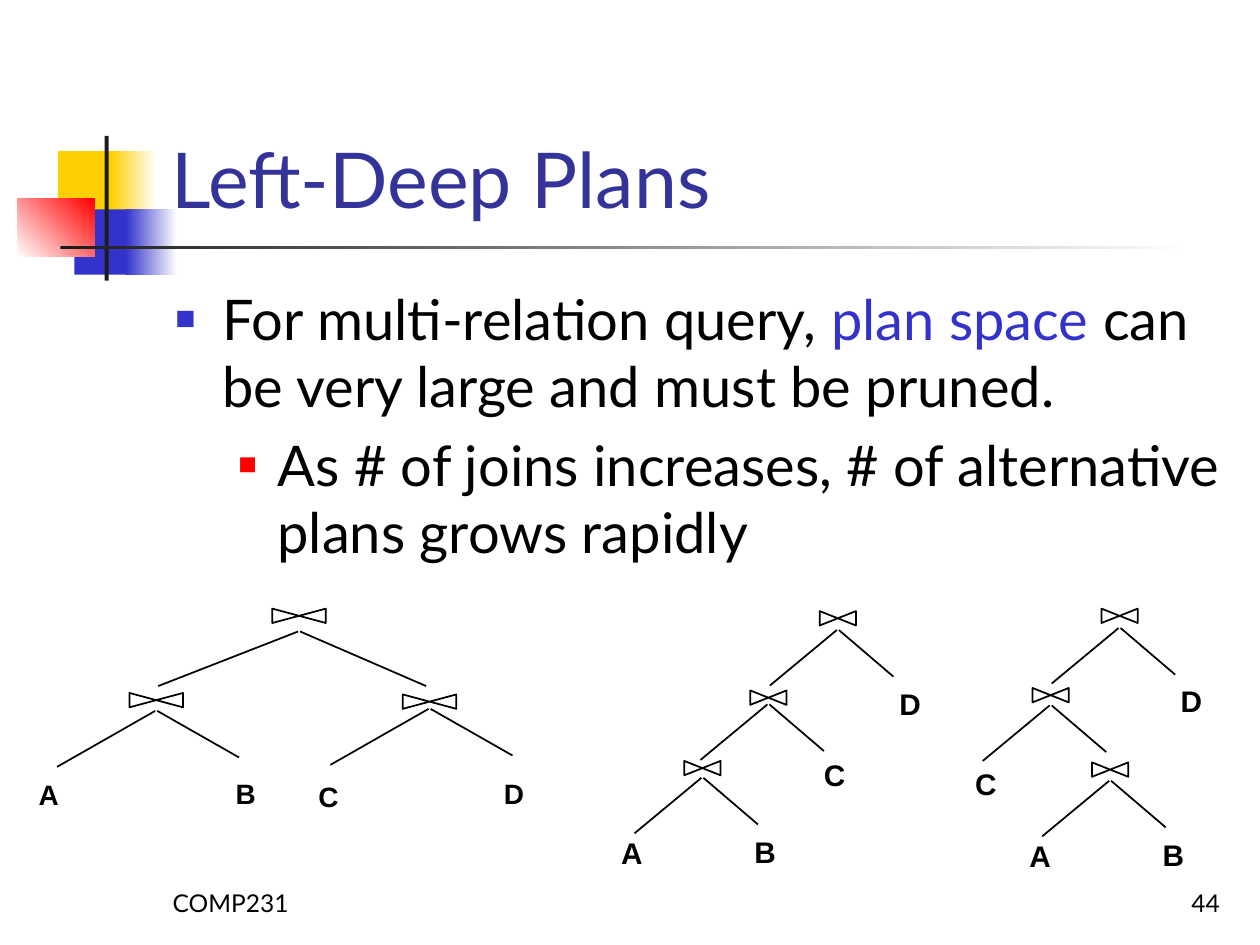
"""Build the "Left-Deep Plans" slide with its three join trees."""
from dataclasses import dataclass

from lxml.etree import SubElement
from pptx import Presentation
from pptx.dml.color import RGBColor
from pptx.enum.shapes import MSO_CONNECTOR, MSO_SHAPE
from pptx.enum.text import MSO_ANCHOR, MSO_AUTO_SIZE, PP_ALIGN
from pptx.oxml.ns import qn
from pptx.util import Cm, Pt

BLACK, BLUE, RED = "000000", "3333CC", "FF0000"
YELLOW, CHARCOAL, WHITE, NAVY = "FFCF01", "1C1C1C", "FFFFFF", "333399"
JOIN_HEIGHT = 0.29
APEX_GAP = 0.02


@dataclass
class Band:
    left: float
    top: float
    width: float
    height: float
    colors: tuple
    angle: float = 0


@dataclass
class Spread:
    left: float
    left_drop: float
    right: float
    right_drop: float


@dataclass
class Join:
    center: float
    top: float
    apex: float
    spread: Spread


@dataclass
class Leaf:
    name: str
    left: float
    top: float


@dataclass
class Tree:
    join_width: float
    font_size: int
    leaf_size: float
    joins: list
    leaves: list


BANDS = [
    Band(1.17, 3.05, 1.22, 1.32, (YELLOW,)),
    Band(2.24, 3.05, 0.91, 1.32, (YELLOW, WHITE)),
    Band(1.5, 4.22, 1.17, 1.32, (BLUE,)),
    Band(2.54, 4.22, 1.02, 1.32, (BLUE, WHITE)),
    Band(0.36, 4.01, 1.55, 1.17, (WHITE, RED), 45),
    Band(2.11, 2.74, 0.08, 2.92, (CHARCOAL,)),
    Band(1.22, 4.95, 22.86, 0.08, (CHARCOAL, WHITE)),
]
ROOT = Spread(2.82, 1.1, 2.54, 1.1)
WIDE = Spread(1.98, 1.13, 1.65, 0.94)
NARROW = Spread(1.35, 1.12, 1.1, 0.94)
TREES = [
    Tree(1.08, 16, 0.91,
         [Join(6.03, 12.27, 12.73, ROOT), Join(3.15, 13.97, 14.33, WIDE),
          Join(8.66, 14, 14.29, WIDE)],
         [Leaf("A", 0.53, 15.54), Leaf("B", 4.5, 15.52),
          Leaf("C", 6.17, 15.6), Leaf("D", 9.91, 15.52)]),
    Tree(0.73, 17, 0.96,
         [Join(16.89, 12.32, 12.7, NARROW), Join(15.49, 13.92, 14.2, NARROW),
          Join(14.16, 15.34, 15.68, NARROW)],
         [Leaf("A", 12.27, 16.71), Leaf("B", 14.96, 16.69),
          Leaf("C", 16.36, 15.14), Leaf("D", 17.88, 13.69)]),
    Tree(0.73, 17, 0.96,
         [Join(22.57, 12.27, 12.66, NARROW), Join(21.18, 13.87, 14.22, NARROW),
          Join(22.38, 15.37, 15.74, NARROW)],
         [Leaf("A", 20.5, 16.76), Leaf("B", 23.19, 16.74),
          Leaf("C", 19.41, 15.32), Leaf("D", 23.55, 13.64)]),
]


def color(value: str) -> RGBColor:
    return RGBColor.from_string(value)


def apply_format(target, values: dict) -> None:
    for name, value in values.items():
        setattr(target, name, value)


def place(shape, left: float, top: float, width: float, height: float) -> None:
    apply_format(shape, {"left": Cm(left), "top": Cm(top),
                         "width": Cm(width), "height": Cm(height)})


def add_run(paragraph, text: str, size: int, fill: str = BLACK,
            name: str = "Lato", bold: bool = False) -> None:
    run = paragraph.add_run()
    run.text = text
    apply_format(run.font, {"name": name, "size": Pt(size), "bold": bold})
    run.font.color.rgb = color(fill)


def draw_band(shapes, band: Band) -> None:
    shape = shapes.add_shape(MSO_SHAPE.RECTANGLE, Cm(band.left), Cm(band.top),
                             Cm(band.width), Cm(band.height))
    shape.shadow.inherit = False
    shape.line.fill.background()
    if len(band.colors) == 1:
        shape.fill.solid()
        shape.fill.fore_color.rgb = color(band.colors[0])
        return
    shape.fill.gradient()
    shape.fill.gradient_angle = band.angle
    for stop, value in zip(shape.fill.gradient_stops, band.colors):
        stop.color.rgb = color(value)


def outline(shape) -> None:
    shape.line.color.rgb = color(BLACK)
    shape.line.width = Pt(1)


def draw_join(shapes, join: Join, width: float) -> None:
    left, right = Cm(join.center - width / 2), Cm(join.center + width / 2)
    top, bottom = Cm(join.top), Cm(join.top + JOIN_HEIGHT)
    builder = shapes.build_freeform(left, top)
    builder.add_line_segments([(left, bottom), (right, top), (right, bottom)])
    bow_tie = builder.convert_to_shape()
    bow_tie.shadow.inherit = False
    bow_tie.fill.background()
    outline(bow_tie)
    spread = join.spread
    for side, reach, drop in ((-1, spread.left, spread.left_drop),
                              (1, spread.right, spread.right_drop)):
        start = join.center + side * APEX_GAP
        branch = shapes.add_connector(
            MSO_CONNECTOR.STRAIGHT, Cm(start), Cm(join.apex),
            Cm(start + side * reach), Cm(join.apex + drop))
        outline(branch)
        SubElement(branch.element.spPr, qn("a:effectLst"))


def draw_tree(shapes, tree: Tree) -> None:
    group = shapes.add_group_shape().shapes
    for join in tree.joins:
        draw_join(group, join, tree.join_width)
    for leaf in tree.leaves:
        box = group.add_textbox(Cm(leaf.left), Cm(leaf.top),
                                Cm(tree.leaf_size), Cm(tree.leaf_size))
        box.text_frame.word_wrap = False
        add_run(box.text_frame.paragraphs[0], leaf.name, tree.font_size,
                name="Arial", bold=True)


def set_bullet(paragraph, fill: str, percent: int, margin: float, indent: float) -> None:
    properties = paragraph._p.get_or_add_pPr()
    properties.set("marL", str(Cm(margin)))
    properties.set("indent", str(Cm(-indent)))
    bullet_color = SubElement(properties, qn("a:buClr"))
    SubElement(bullet_color, qn("a:srgbClr"), val=fill)
    SubElement(properties, qn("a:buSzPct"), val=str(percent * 1000))
    SubElement(properties, qn("a:buFont"), typeface="Arial")
    SubElement(properties, qn("a:buChar"), char="■")


def fill_placeholders(slide) -> None:
    title, body = slide.shapes.title, slide.placeholders[1]
    place(title, 3.2, 0.58, 21.64, 4.06)
    place(body, 3.28, 5.61, 21.59, 11.43)
    for shape, anchor in ((title, MSO_ANCHOR.BOTTOM), (body, MSO_ANCHOR.TOP)):
        apply_format(shape.text_frame, {"vertical_anchor": anchor, "word_wrap": True,
                                        "auto_size": MSO_AUTO_SIZE.NONE})
        shape.element.getparent().append(shape.element)
    heading = title.text_frame.paragraphs[0]
    heading.alignment = PP_ALIGN.LEFT
    add_run(heading, "Left-Deep Plans", 44, NAVY)
    first = body.text_frame.paragraphs[0]
    set_bullet(first, BLUE, 60, 0.95, 0.95)
    add_run(first, "For multi-relation query, ", 32)
    add_run(first, "plan space ", 32, BLUE)
    add_run(first, "can be very large and must be pruned.", 32)
    second = body.text_frame.add_paragraph()
    second.level = 1
    set_bullet(second, RED, 55, 2.06, 0.79)
    add_run(second, "As # of joins increases, # of alternative plans grows rapidly", 32)


def draw_footer(shapes, text: str, left: float, alignment) -> None:
    box = shapes.add_textbox(Cm(left), Cm(17.35), Cm(5.28), Cm(1.27))
    apply_format(box.text_frame, {"word_wrap": True, "vertical_anchor": MSO_ANCHOR.BOTTOM})
    paragraph = box.text_frame.paragraphs[0]
    paragraph.alignment = alignment
    add_run(paragraph, text, 14)


def main() -> None:
    presentation = Presentation()
    apply_format(presentation, {"slide_width": Cm(25.4), "slide_height": Cm(19.05)})
    slide = presentation.slides.add_slide(presentation.slide_layouts[1])
    for band in BANDS:
        draw_band(slide.shapes, band)
    draw_footer(slide.shapes, "COMP231", 3.23, PP_ALIGN.LEFT)
    draw_footer(slide.shapes, "44", 19.56, PP_ALIGN.RIGHT)
    fill_placeholders(slide)
    for tree in TREES:
        draw_tree(slide.shapes, tree)
    presentation.save("out.pptx")


if __name__ == "__main__":
    main()
